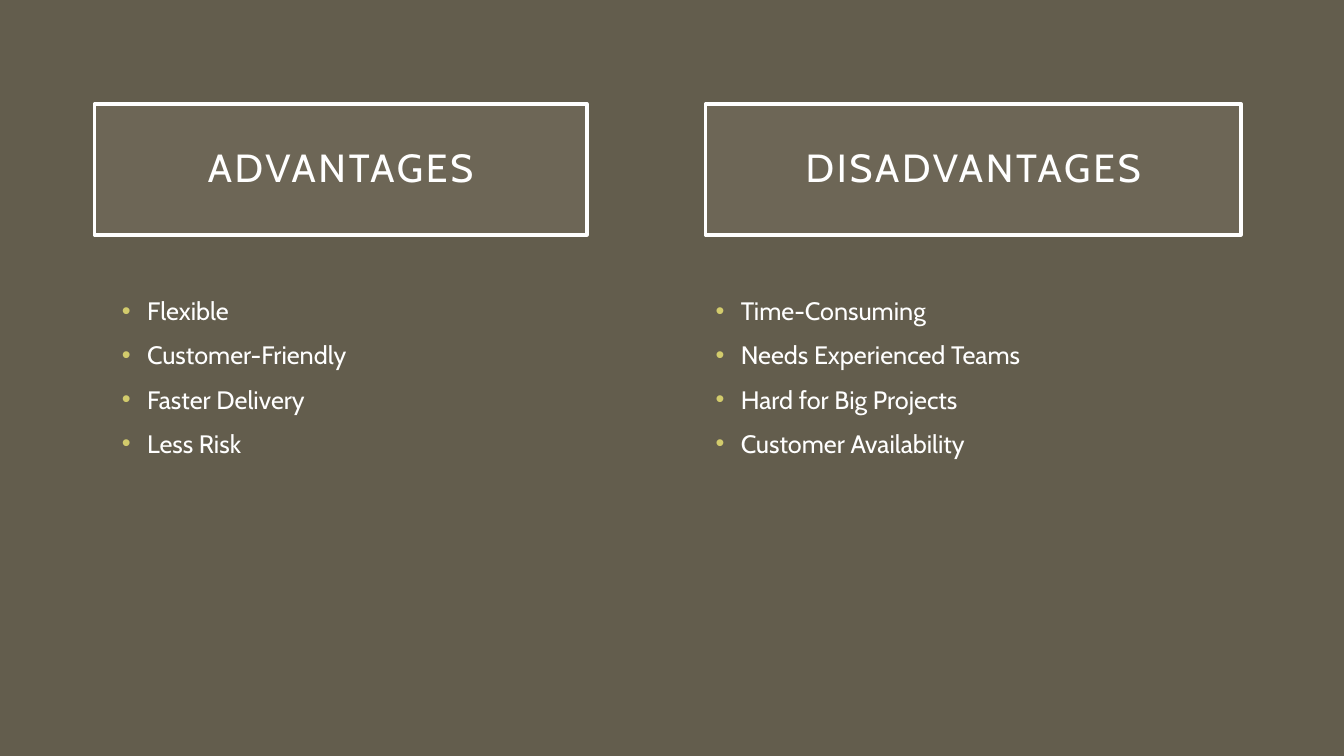
from dataclasses import dataclass
from typing import Any

from lxml.etree import SubElement
from pptx import Presentation
from pptx.dml.color import RGBColor
from pptx.enum.shapes import MSO_SHAPE
from pptx.enum.text import MSO_ANCHOR, MSO_AUTO_SIZE, PP_ALIGN
from pptx.oxml.ns import qn
from pptx.util import Inches, Pt

COLORS = {"background": "635D4D", "panel": "A7A08E", "white": "FFFFFF", "bullet": "D2CB6C"}
FONT = "Cabin"
WIDTH, HEIGHT = Inches(13.33), Inches(7.5)
COLUMN, ROW = WIDTH / 24, HEIGHT / 24

HEADING_FRAME = {
    "word_wrap": True,
    "auto_size": MSO_AUTO_SIZE.NONE,
    "vertical_anchor": MSO_ANCHOR.MIDDLE,
    **{f"margin_{side}": Inches(0.2) for side in ("left", "top", "right", "bottom")},
}
HEADING_PARAGRAPH = {"alignment": PP_ALIGN.CENTER, "line_spacing": 0.9}


@dataclass(frozen=True)
class Box:
    """A rectangle in grid columns and rows."""
    column: float
    row: float
    columns: float
    rows: float


@dataclass(frozen=True)
class Side:
    heading: str
    heading_box: Box
    items: tuple[str, ...]
    list_box: Box


SIDES = (
    Side("ADVANTAGES", Box(1.69, 3.3, 8.79, 4.16),
         ("Flexible", "Customer-Friendly", "Faster Delivery", "Less Risk"),
         Box(2, 9.22, 9.96, 11.49)),
    Side("DISADVANTAGES", Box(12.6, 3.3, 9.56, 4.16),
         ("Time-Consuming", "Needs Experienced Teams", "Hard for Big Projects",
          "Customer Availability"),
         Box(12.6, 9.22, 9.96, 11.49)),
)


def color(name: str) -> RGBColor:
    return RGBColor.from_string(COLORS[name])


def apply_format(target: Any, values: dict[str, Any]) -> None:
    for name, value in values.items():
        setattr(target, name, value)


def place(shape: Any, box: Box) -> None:
    apply_format(shape, {
        "left": round(box.column * COLUMN), "top": round(box.row * ROW),
        "width": round(box.columns * COLUMN), "height": round(box.rows * ROW),
    })


def add_run(paragraph: Any, text: str, size: float) -> Any:
    run = paragraph.add_run()
    run.text = text
    apply_format(run.font, {"name": FONT, "size": Pt(size), "bold": False})
    run.font.color.rgb = color("white")
    return run


def format_heading(shape: Any, side: Side) -> None:
    place(shape, side.heading_box)
    shape.fill.solid()
    shape.fill.fore_color.rgb = color("panel")
    panel_color = shape.fill._xPr.find(f"{qn('a:solidFill')}/{qn('a:srgbClr')}")
    SubElement(panel_color, qn("a:alpha"), val="15000")
    shape.line.color.rgb = color("white")
    shape.line.width = Pt(2.5)
    apply_format(shape.text_frame, HEADING_FRAME)
    paragraph = shape.text_frame.paragraphs[0]
    apply_format(paragraph, HEADING_PARAGRAPH)
    run = add_run(paragraph, side.heading, 28)
    run.font._element.set("spc", "200")


def add_bullet(paragraph: Any) -> None:
    properties = paragraph._p.get_or_add_pPr()
    properties.set("marL", str(Inches(0.25)))
    properties.set("indent", str(-Inches(0.25)))
    bullet_color = SubElement(properties, qn("a:buClr"))
    SubElement(bullet_color, qn("a:srgbClr"), val=COLORS["bullet"])
    SubElement(properties, qn("a:buFont"), typeface="Arial")
    SubElement(properties, qn("a:buChar"), char="•")


def add_list(slide: Any, side: Side) -> None:
    shape = slide.shapes.add_textbox(0, 0, 0, 0)
    place(shape, side.list_box)
    frame = shape.text_frame
    frame.word_wrap = True
    for index, item in enumerate(side.items):
        paragraph = frame.add_paragraph() if index else frame.paragraphs[0]
        paragraph.space_before = Pt(10)
        add_bullet(paragraph)
        add_run(paragraph, item, 18)


def main() -> None:
    presentation = Presentation()
    apply_format(presentation, {"slide_width": WIDTH, "slide_height": HEIGHT})
    slide = presentation.slides.add_slide(presentation.slide_layouts.get_by_name("Title Only"))
    slide.background.fill.solid()
    slide.background.fill.fore_color.rgb = color("background")

    second_heading = slide.shapes.add_shape(MSO_SHAPE.RECTANGLE, 0, 0, 0, 0)
    second_heading.shadow.inherit = False
    for shape, side in zip((slide.shapes.title, second_heading), SIDES):
        format_heading(shape, side)
        add_list(slide, side)
    presentation.save("out.pptx")


if __name__ == "__main__":
    main()
